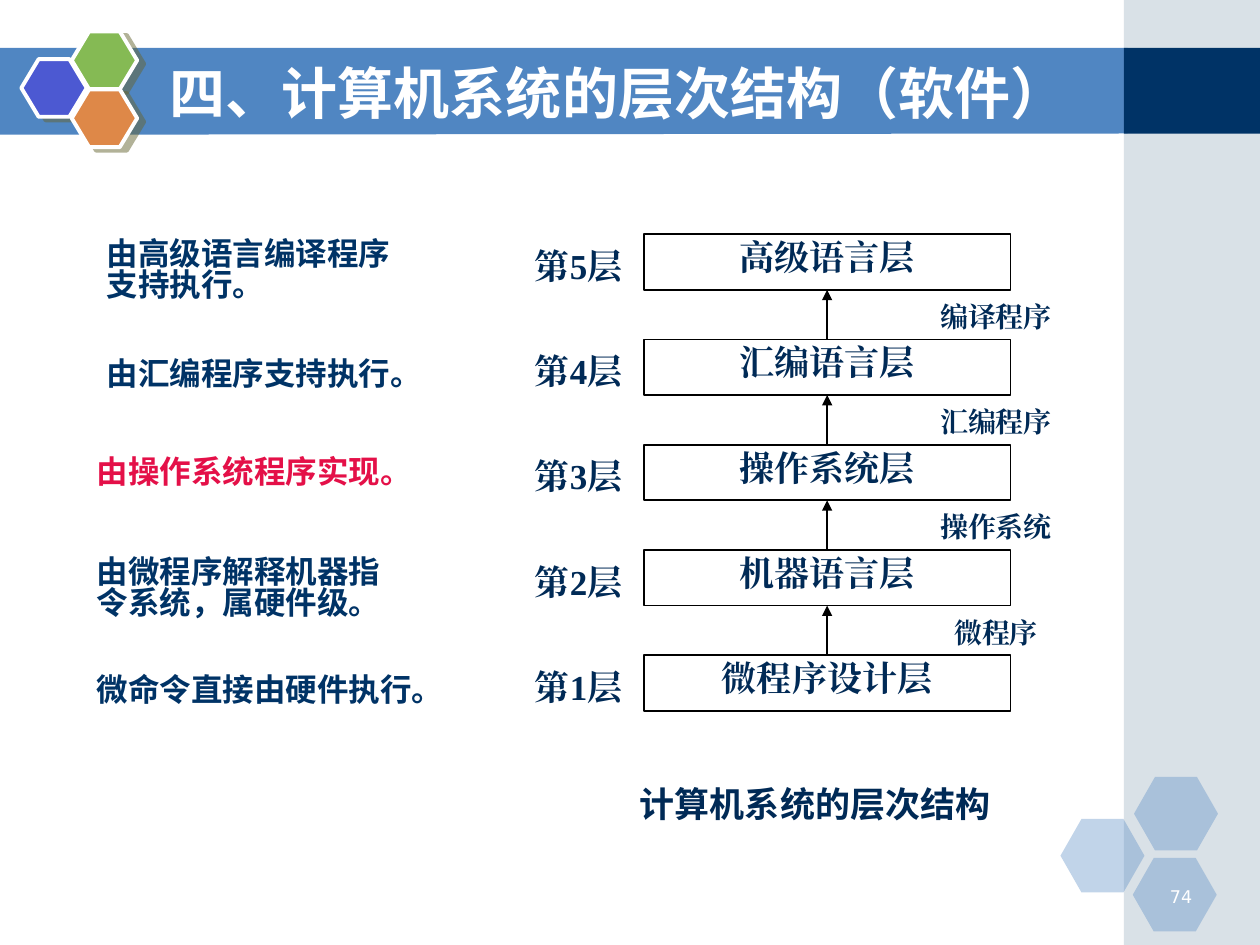
from dataclasses import dataclass
from lxml.etree import SubElement
from pptx import Presentation
from pptx.dml.color import RGBColor
from pptx.enum.shapes import MSO_CONNECTOR as Link, MSO_SHAPE as Preset
from pptx.enum.text import MSO_ANCHOR as Anchor, PP_ALIGN as Align
from pptx.oxml.ns import qn
from pptx.util import Pt


@dataclass(frozen=True)
class Theme:
    band: str = "5086C2"
    navy: str = "003366"
    ink: str = "002A56"
    side: str = "A0B5C4"
    red: str = "E41048"
    white: str = "FFFFFF"
    black: str = "000000"
    shade: str = "666633"
    blue: str = "4C59D2"
    green: str = "85BA54"
    orange: str = "DE8848"
    sans: str = "Noto Sans CJK SC"
    serif: str = "Times New Roman"
    digits: str = "DejaVu Sans"
    title: int = 32
    layer: int = 20
    note: int = 18
    tool: int = 16
    page: int = 10


def assign(target, values):
    for name, value in values.items():
        setattr(target, name, value)


class SlideBuilder:
    def __init__(self, slide, theme):
        self.slide = slide
        self.theme = theme

    def paint(self, shape, fill=None, line=None, width=1, alpha=None):
        shape.shadow.inherit = False
        if fill:
            shape.fill.solid()
            shape.fill.fore_color.rgb = RGBColor.from_string(fill)
            if alpha:
                color = shape._element.spPr.find(qn("a:solidFill"))[0]
                SubElement(color, qn("a:alpha"), val=str(alpha * 1000))
        else:
            shape.fill.background()
        if line:
            shape.line.color.rgb = RGBColor.from_string(line)
            shape.line.width = Pt(width)
        else:
            shape.line.fill.background()
        return shape

    def shape(self, preset, box, adjust=None, **look):
        shape = self.slide.shapes.add_shape(preset, *map(Pt, box))
        if adjust:
            shape.adjustments[0] = adjust
        return self.paint(shape, **look)

    def outline(self, points, **look):
        start, *rest = [(Pt(x), Pt(y)) for x, y in points]
        builder = self.slide.shapes.build_freeform(*start, scale=1.0)
        builder.add_line_segments(rest, close=True)
        return self.paint(builder.convert_to_shape(), **look)

    def drop_shadow(self, shape):
        effects = shape._element.spPr.find(qn("a:effectLst"))
        shadow = SubElement(effects, qn("a:outerShdw"), blurRad="0", dist=str(Pt(4.5)),
                            dir=str(27 * 60000), algn="ctr", rotWithShape="0")
        color = SubElement(shadow, qn("a:srgbClr"), val=self.theme.shade)
        SubElement(color, qn("a:alpha"), val="50000")

    def set_text(self, shape, lines, size, color, font, bold=True, align=Align.LEFT,
                 anchor=Anchor.TOP, inset=None, spacing=None):
        frame = shape.text_frame
        assign(frame, {"word_wrap": True, "vertical_anchor": anchor})
        if inset is not None:
            assign(frame, {f"margin_{side}": Pt(inset)
                           for side in ("left", "right", "top", "bottom")})
        frame.text = "\n".join(lines)
        for paragraph in frame.paragraphs:
            assign(paragraph, {"alignment": align, "line_spacing": spacing})
            for run in paragraph.runs:
                assign(run.font, {"size": Pt(size), "bold": bold, "name": font})
                run.font.color.rgb = RGBColor.from_string(color)
                SubElement(run._r.get_or_add_rPr(), qn("a:ea"), typeface=font)

    def text(self, box, lines, *args, **style):
        label = self.slide.shapes.add_textbox(*map(Pt, box))
        self.set_text(label, lines, *args, **style)

    def arrow(self, upper, lower):
        link = self.slide.shapes.add_connector(Link.STRAIGHT, 0, 0, 0, 0)
        link.begin_connect(upper, 2)
        link.end_connect(lower, 0)
        link.line.color.rgb = RGBColor.from_string(self.theme.black)
        link.line.width = Pt(1)
        outline = link._element.spPr.find(qn("a:ln"))
        SubElement(outline, qn("a:headEnd"), type="triangle")
        SubElement(link._element.spPr, qn("a:effectLst"))


def draw_frame(page, theme):
    page.outline([(-0.7, 27.4), (644.4, 27.4), (644.4, 76.3), (-0.7, 77)], fill=theme.band)
    page.shape(Preset.RECTANGLE, (642.2, 0, 77.8, 540), fill=theme.side, alpha=40)
    page.shape(Preset.RECTANGLE, (642.2, 27.4, 77.8, 49), fill=theme.navy)
    for left, top in ((606, 468), (648, 444), (647.3, 490.3)):
        page.shape(Preset.HEXAGON, (left, top, 48, 42), 0.286, fill=theme.band, alpha=35)
    for left, top, fill in ((12.2, 33.8, theme.blue), (41, 18, theme.green),
                            (41, 51.1, theme.orange)):
        cell = page.shape(Preset.HEXAGON, (left, top, 37.4, 33), 0.3,
                          fill=fill, line=theme.white, width=2.25)
        page.drop_shadow(cell)
    page.text((652.3, 502.6, 36, 18), ["74"], theme.page, theme.white, theme.digits,
              bold=False, align=Align.RIGHT)
    page.text((90, 30.2, 527.8, 44.6), ["四、计算机系统的层次结构（软件）"],
              theme.title, theme.white, theme.sans, anchor=Anchor.MIDDLE)


def draw_layers(page, theme):
    layers = (("高级语言层", "编译程序"), ("汇编语言层", "汇编程序"),
              ("操作系统层", "操作系统"), ("机器语言层", "微程序"),
              ("微程序设计层", None))
    first_top, step = 133.9, 60.15
    label = {"color": theme.ink, "font": theme.serif, "inset": 0.7}
    upper = None
    for index, (layer, tool) in enumerate(layers):
        top = first_top + index * step
        page.text((230.4, top + 5, 126, 27.4), [f"第{len(layers) - index}层"],
                  theme.layer, align=Align.RIGHT, **label)
        if tool:
            page.text((489.6, top + 36.5, 159.1, 27.4), [tool],
                      theme.tool, align=Align.CENTER, **label)
        box = page.shape(Preset.RECTANGLE, (367.9, top, 209.5, 31.7), line=theme.black)
        page.set_text(box, [layer], theme.layer, align=Align.CENTER, **label)
        if upper:
            page.arrow(upper, box)
        upper = box
    page.text((229.7, 446.4, 472.3, 41.8), ["计算机系统的层次结构"], theme.layer,
              theme.ink, theme.sans, align=Align.CENTER, inset=0.7)


def draw_notes(page, theme):
    notes = (
        ((54, 133.9, 178, 72), ["由高级语言编译程序", "支持执行。"], theme.navy),
        ((54, 202.3, 196, 28.8), ["由汇编程序支持执行。"], theme.navy),
        ((48.2, 258.5, 196, 50.4), ["由操作系统程序实现。"], theme.red),
        ((48.2, 315.4, 211, 50.4), ["由微程序解释机器指", "令系统，属硬件级。"], theme.navy),
        ((48.2, 383, 229, 28.8), ["微命令直接由硬件执行。"], theme.navy),
    )
    for box, lines, color in notes:
        page.text(box, lines, theme.note, color, theme.sans, spacing=0.83)


def main():
    deck = Presentation()
    assign(deck, {"slide_width": Pt(720), "slide_height": Pt(540)})
    theme = Theme()
    page = SlideBuilder(deck.slides.add_slide(deck.slide_layouts[6]), theme)
    for draw in (draw_frame, draw_layers, draw_notes):
        draw(page, theme)
    deck.save("out.pptx")


if __name__ == "__main__":
    main()
